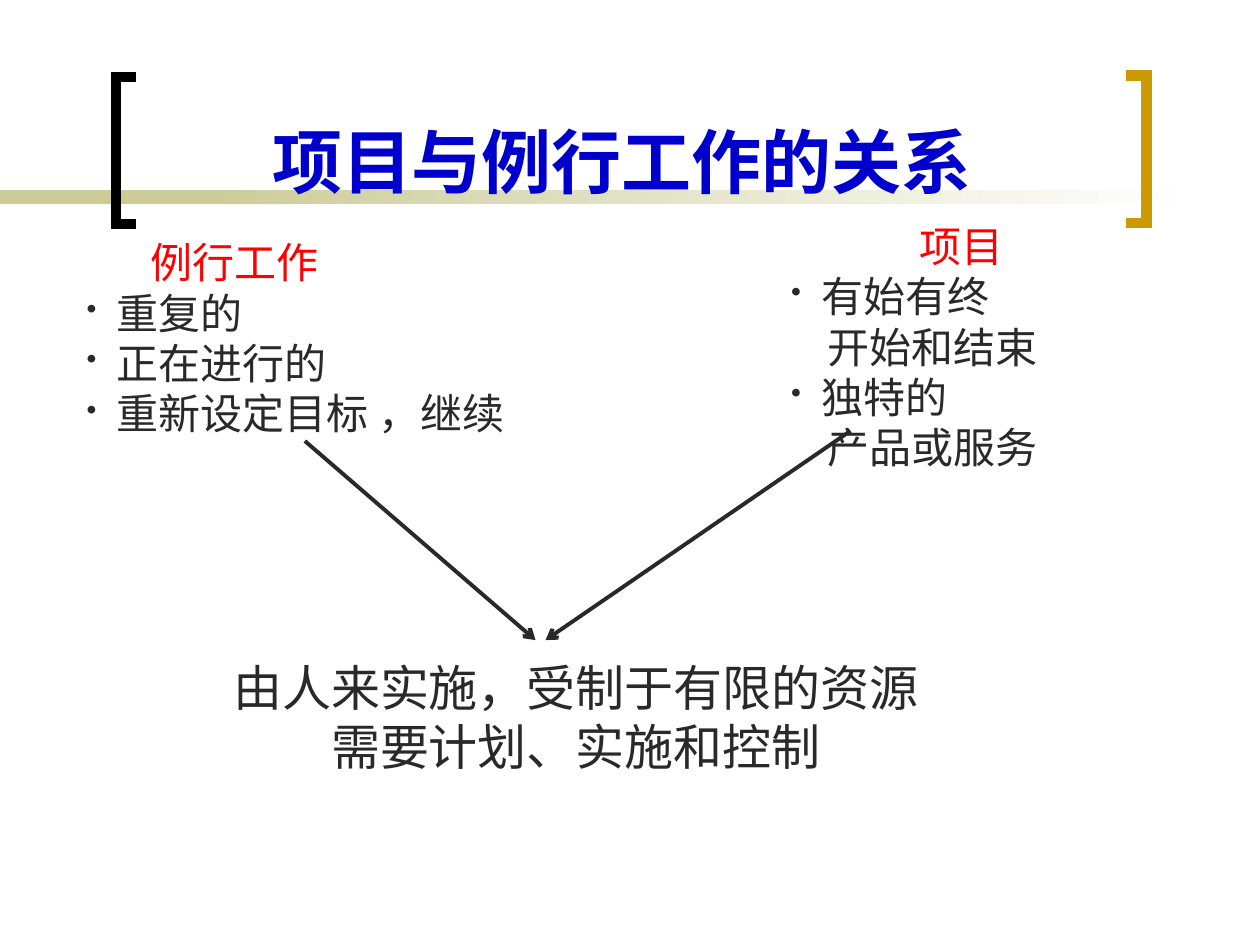
from dataclasses import dataclass

from lxml import etree
from pptx import Presentation
from pptx.dml.color import RGBColor
from pptx.enum import shapes, text
from pptx.oxml import ns
from pptx.util import Inches, Pt


@dataclass(frozen=True)
class Theme:
    ink: str = "292929"
    heading: str = "FF0000"
    title: str = "0000CC"
    band: str = "CCCC99"
    paper: str = "FFFFFF"
    left_bracket: str = "000000"
    right_bracket: str = "CC9900"
    title_font: str = "Arial"
    body_font: str = "Comic Neue"
    title_size: int = 40
    list_size: int = 24
    summary_size: int = 28


THEME = Theme()
CENTER = text.PP_ALIGN.CENTER
LEFT = text.PP_ALIGN.LEFT


def color(value):
    return RGBColor.from_string(value)


def add_xml(parent, tag, **attributes):
    return etree.SubElement(parent, ns.qn(tag), attributes)


def indent(para, margin, hanging=0):
    properties = para._p.get_or_add_pPr()
    properties.set("marL", str(Inches(margin)))
    properties.set("indent", str(-Inches(hanging)))
    return properties


def add_bullet(para):
    properties = indent(para, 0.24, 0.24)
    bullet_color = add_xml(properties, "a:buClr")
    add_xml(bullet_color, "a:srgbClr", val=THEME.ink)
    add_xml(properties, "a:buSzPct", val="70000")
    add_xml(properties, "a:buChar", char="•")


def add_text(page, box, lines, font, anchor=text.MSO_ANCHOR.TOP):
    """Each line is (words, color, alignment, left margin or "bullet")."""
    frame = page.shapes.add_textbox(*map(Inches, box)).text_frame
    frame.word_wrap = True
    frame.vertical_anchor = anchor
    for number, (words, ink, alignment, margin) in enumerate(lines):
        para = frame.add_paragraph() if number else frame.paragraphs[0]
        para.alignment = alignment
        if margin == "bullet":
            add_bullet(para)
        elif margin:
            indent(para, margin)
        span = para.add_run()
        span.text = words
        for name, value in font.items():
            setattr(span.font, name, value)
        span.font.color.rgb = color(ink)


def add_band(page, box, fade=False):
    band = page.shapes.add_shape(shapes.MSO_SHAPE.RECTANGLE, *map(Inches, box))
    band.shadow.inherit = False
    band.line.fill.background()
    if fade:
        band.fill.gradient()
        band.fill.gradient_angle = 0
        for stop, value in zip(band.fill.gradient_stops, (THEME.band, THEME.paper)):
            stop.color.rgb = color(value)
    else:
        band.fill.solid()
        band.fill.fore_color.rgb = color(THEME.band)


def add_bracket(page, box, ink, opens_right):
    left, top, width, height = box
    spine, tip = (left, left + width) if opens_right else (left + width, left)
    builder = page.shapes.build_freeform(Inches(tip), Inches(top))
    corners = [(spine, top), (spine, top + height), (tip, top + height)]
    builder.add_line_segments([(Inches(x), Inches(y)) for x, y in corners], close=False)
    bracket = builder.convert_to_shape()
    bracket.shadow.inherit = False
    bracket.fill.background()
    bracket.line.color.rgb = color(ink)
    bracket.line.width = Pt(6)
    add_xml(bracket.line._get_or_add_ln(), "a:miter", lim="800000")


def add_arrow(page, start, end):
    arrow = page.shapes.add_connector(
        shapes.MSO_CONNECTOR.STRAIGHT, *map(Inches, start + end))
    arrow.line.color.rgb = color(THEME.ink)
    arrow.line.width = Pt(2.25)
    add_xml(arrow.line._get_or_add_ln(), "a:tailEnd", type="arrow")
    add_xml(arrow._element.spPr, "a:effectLst")


def add_header(page, box):
    left, top, width, height = box
    # Band behind the title
    band_top, band_height = top + 1.4, 0.11
    add_band(page, (0, band_top, 2.33, band_height))
    add_band(page, (1.58, band_top, 7.92, band_height), fade=True)
    # Brackets around the title
    add_bracket(page, (left - 0.1, top + 0.5, 0.16, 1.17), THEME.left_bracket, True)
    add_bracket(page, (left + width + 0.09, top + 0.49, 0.16, 1.17),
                THEME.right_bracket, False)
    font = {"name": THEME.title_font, "size": Pt(THEME.title_size), "bold": True}
    add_text(page, box, [("项目与例行工作的关系", THEME.title, CENTER, 0)],
             font, text.MSO_ANCHOR.BOTTOM)


def add_list(page, box, heading, items):
    lines = [heading] + [(words, THEME.ink, LEFT, margin) for words, margin in items]
    add_text(page, box, lines, {"name": THEME.body_font, "size": Pt(THEME.list_size)})


def add_summary(page, box, sentences):
    lines = [(words, THEME.ink, CENTER, 0) for words in sentences]
    add_text(page, box, lines, {"name": THEME.body_font, "size": Pt(THEME.summary_size)})


def main():
    deck = Presentation()
    deck.slide_width, deck.slide_height = Inches(10), Inches(7.5)
    page = deck.slides.add_slide(deck.slide_layouts[6])

    add_header(page, (1.02, 0.11, 7.83, 1.55))

    # Two kinds of work
    add_list(page, (0.59, 1.83, 3.7, 1.7), ("例行工作", THEME.heading, LEFT, 0.51),
             [("重复的", "bullet"), ("正在进行的", "bullet"),
              ("重新设定目标 ，继续", "bullet")])
    add_list(page, (6.18, 1.7, 2.9, 2.1), ("项目", THEME.heading, CENTER, 0),
             [("有始有终", "bullet"), ("开始和结束", 0.29),
              ("独特的", "bullet"), ("产品或服务", 0.29)])

    # What they share
    add_arrow(page, (2.42, 3.5), (4.25, 5.08))
    add_arrow(page, (6.75, 3.42), (4.33, 5.08))
    add_summary(page, (1.69, 5.17, 5.76, 1.04),
                ["由人来实施，受制于有限的资源", "需要计划、实施和控制"])

    deck.save("out.pptx")


if __name__ == "__main__":
    main()
